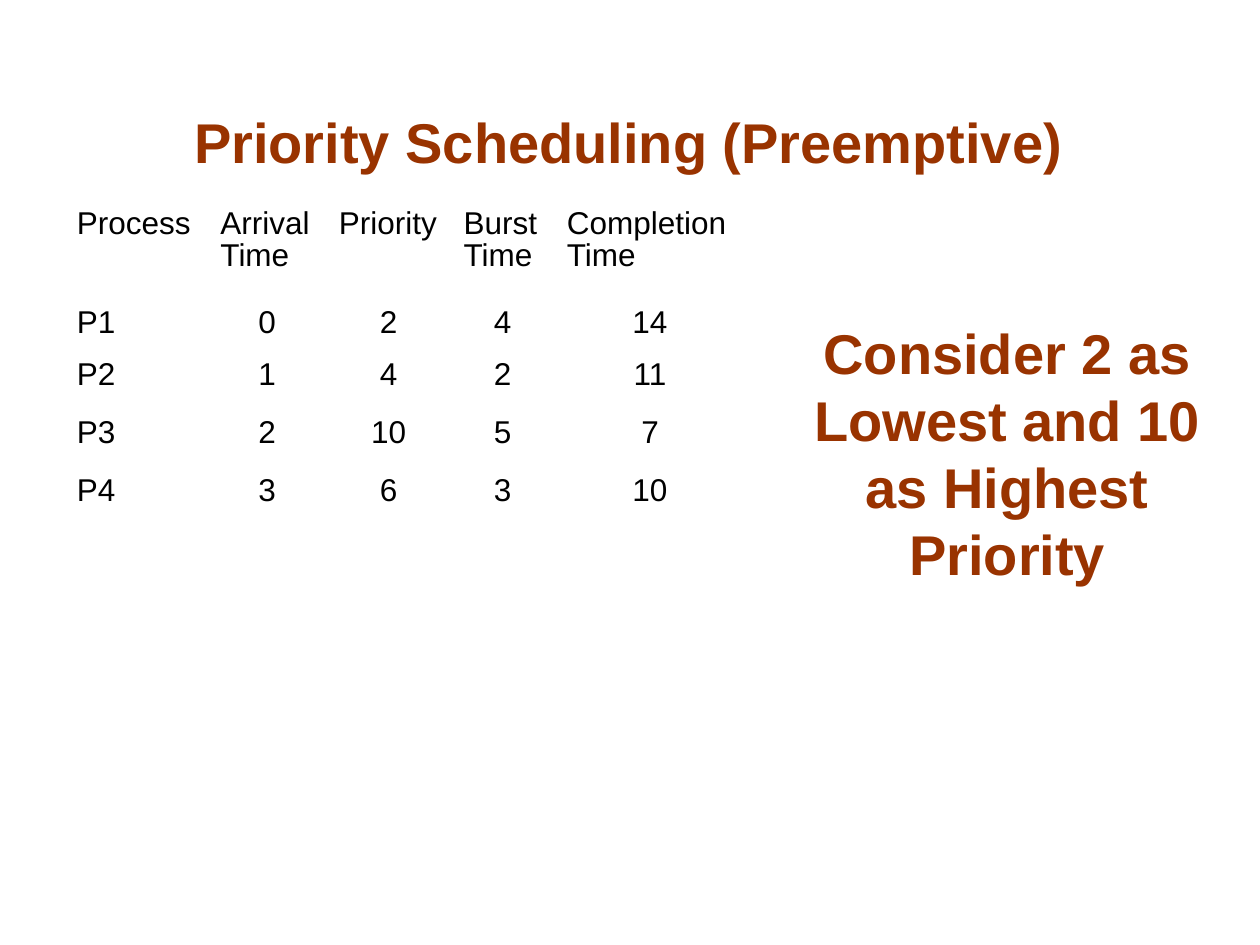
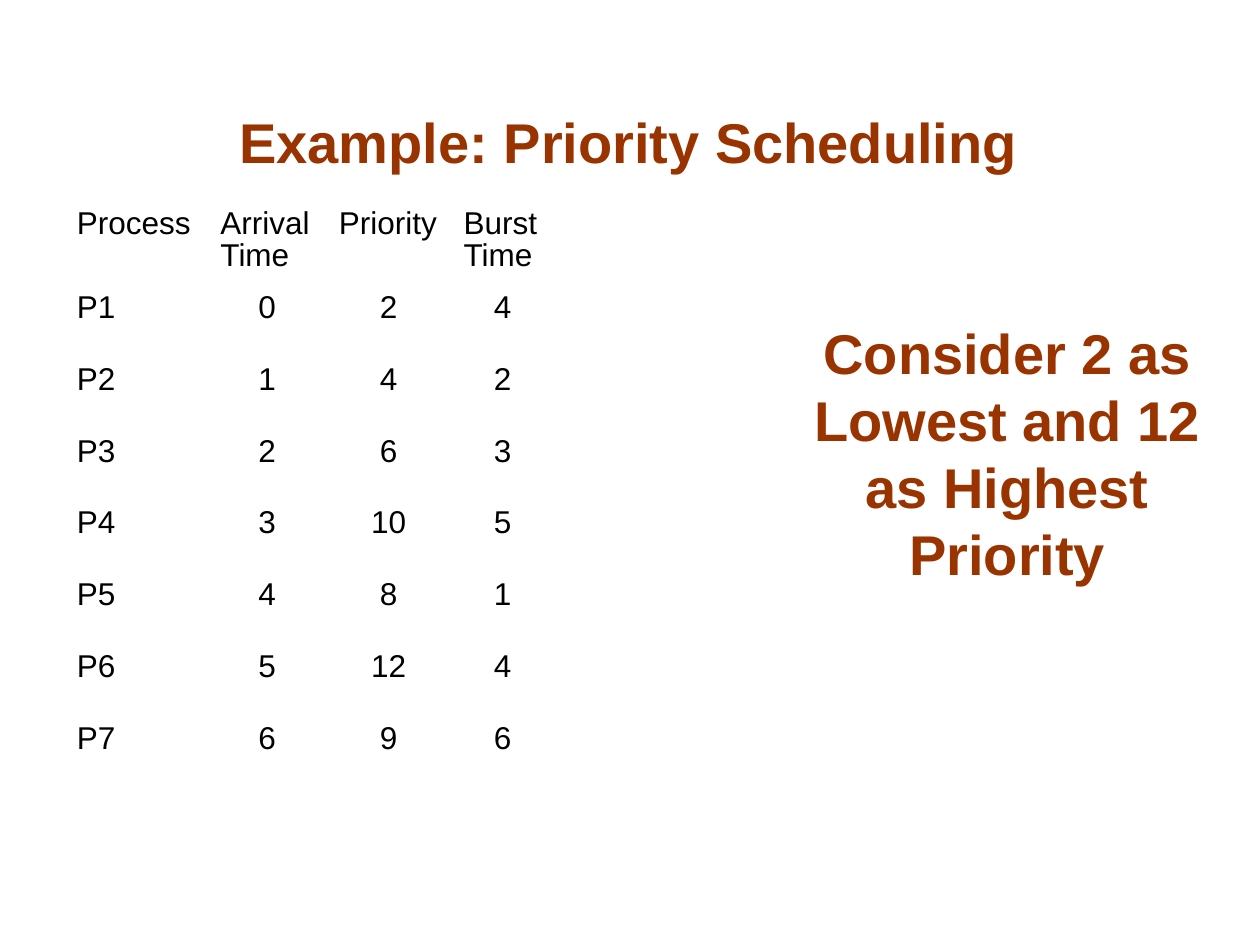
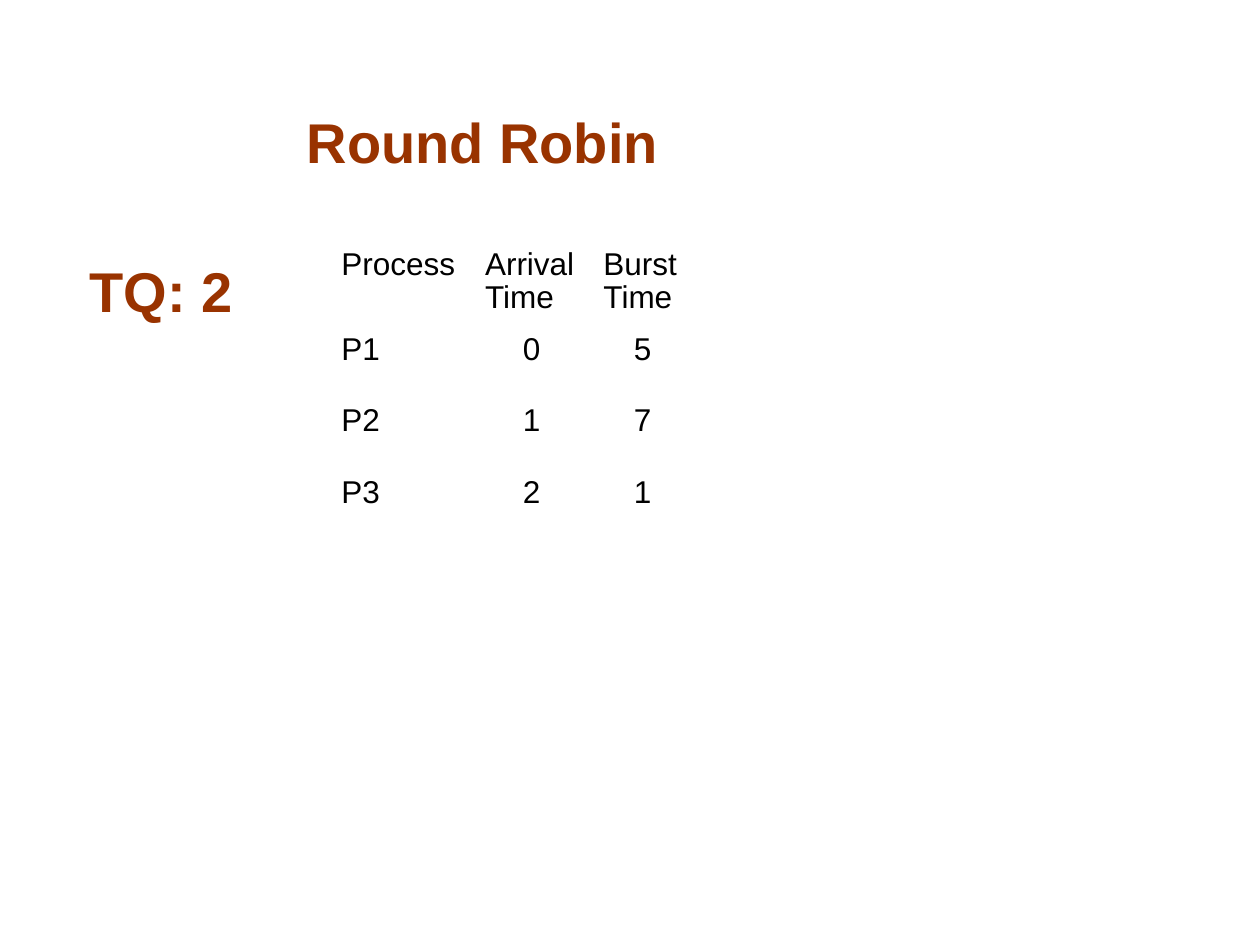
import pptx
import pptx.dml.color
import pptx.enum.text
import pptx.util

COLORS = {"heading": "993300", "body": "000000"}
FONT = "Arial"
HEADING_SIZE, BODY_SIZE = 32, 18

# The slide is a grid of 10 columns by 7.5 rows of square units.
UNIT = pptx.util.Inches(1)
SLIDE_COLUMNS, SLIDE_ROWS = 10, 7.5
TITLE_LEFT, TITLE_TOP, TITLE_WIDTH = 0.74, 0.73, 8.5
HEADING_HEIGHT = 0.71
TABLE_LEFT, TABLE_TOP = 0.51, 1.6
RULE_NOTE_AREA = (6.21, 2.18, 3.57, 2.53)
HEADER_ROW, PROCESS_ROW = 0.67, 0.57
COLUMN_WIDTHS = {
    "Process": 1.14,
    "Arrival Time": 0.94,
    "Priority": 0.99,
    "Burst Time": 0.82,
    "Completion Time": 1.52,
    "": 1.52,
}

PREEMPTIVE = [
    ("Process", "Arrival Time", "Priority", "Burst Time", "Completion Time"),
    ("P1", 0, 2, 4, 14),
    ("P2", 1, 4, 2, 11),
    ("P3", 2, 10, 5, 7),
    ("P4", 3, 6, 3, 10),
]
EXERCISE = [
    ("Process", "Arrival Time", "Priority", "Burst Time", ""),
    ("P1", 0, 2, 4, ""),
    ("P2", 1, 4, 2, ""),
    ("P3", 2, 6, 3, ""),
    ("P4", 3, 10, 5, ""),
    ("P5", 4, 8, 1, ""),
    ("P6", 5, 12, 4, ""),
    ("P7", 6, 9, 6, ""),
]
ROUND_ROBIN = [
    ("Process", "Arrival Time", "Burst Time", ""),
    ("P1", 0, 5, ""),
    ("P2", 1, 7, ""),
    ("P3", 2, 1, ""),
]


def units(*lengths):
    return [round(length * UNIT) for length in lengths]


def set_font(paragraph, size, color, bold=False):
    font = paragraph.font
    font.name = FONT
    font.size = pptx.util.Pt(size)
    font.bold = bold
    font.color.rgb = pptx.dml.color.RGBColor.from_string(COLORS[color])


def write_heading(holder, text):
    """Fill a title or note with centred heading text resting on its bottom edge."""
    frame = holder.text_frame
    frame.text = text
    frame.word_wrap = True
    frame.auto_size = pptx.enum.text.MSO_AUTO_SIZE.NONE
    frame.vertical_anchor = pptx.enum.text.MSO_ANCHOR.BOTTOM
    paragraph = frame.paragraphs[0]
    paragraph.alignment = pptx.enum.text.PP_ALIGN.CENTER
    set_font(paragraph, HEADING_SIZE, "heading", bold=True)


def add_titled_slide(deck, text, width=TITLE_WIDTH):
    slide = deck.slides.add_slide(deck.slide_layouts.get_by_name("Title Only"))
    title = slide.shapes.title
    title.left, title.top, title.width, title.height = units(
        TITLE_LEFT, TITLE_TOP, width, HEADING_HEIGHT)
    write_heading(title, text)
    return slide


def add_note(slide, text, area):
    write_heading(slide.shapes.add_textbox(*units(*area)), text)


def add_process_table(slide, records, left=TABLE_LEFT, top=TABLE_TOP, heights=None):
    """Draw a plain table whose column widths follow from its headings."""
    widths = [COLUMN_WIDTHS[heading] for heading in records[0]]
    heights = heights or [HEADER_ROW] + [PROCESS_ROW] * (len(records) - 1)
    table = slide.shapes.add_table(
        len(records), len(widths),
        *units(left, top, sum(widths), sum(heights))).table
    table.first_row = table.horz_banding = False
    for column, width in zip(table.columns, units(*widths)):
        column.width = width
    for row, height in zip(table.rows, units(*heights)):
        row.height = height
    for row_index, record in enumerate(records):
        for column_index, value in enumerate(record):
            cell = table.cell(row_index, column_index)
            cell.fill.background()
            cell.text = str(value)
            paragraph = cell.text_frame.paragraphs[0]
            paragraph.line_spacing = 0.93
            if row_index and column_index:
                paragraph.alignment = pptx.enum.text.PP_ALIGN.CENTER
            set_font(paragraph, BODY_SIZE, "body")


def main():
    deck = pptx.Presentation()
    deck.slide_width, deck.slide_height = units(SLIDE_COLUMNS, SLIDE_ROWS)

    preemptive = add_titled_slide(deck, "Priority Scheduling (Preemptive)")
    add_process_table(preemptive, PREEMPTIVE, heights=[0.79, 0.41] + [0.46] * 3)
    add_note(preemptive, "Consider 2 as Lowest and 10 as Highest Priority", RULE_NOTE_AREA)

    exercise = add_titled_slide(deck, "Example: Priority Scheduling")
    add_process_table(exercise, EXERCISE)
    add_note(exercise, "Consider 2 as Lowest and 12 as Highest Priority", RULE_NOTE_AREA)

    round_robin = add_titled_slide(deck, "Round Robin", width=6.18)
    add_process_table(round_robin, ROUND_ROBIN, left=2.61, top=1.93)
    add_note(round_robin, "TQ: 2 ", (0.29, 1.91, 2.1, HEADING_HEIGHT))

    deck.save("out.pptx")


if __name__ == "__main__":
    main()
